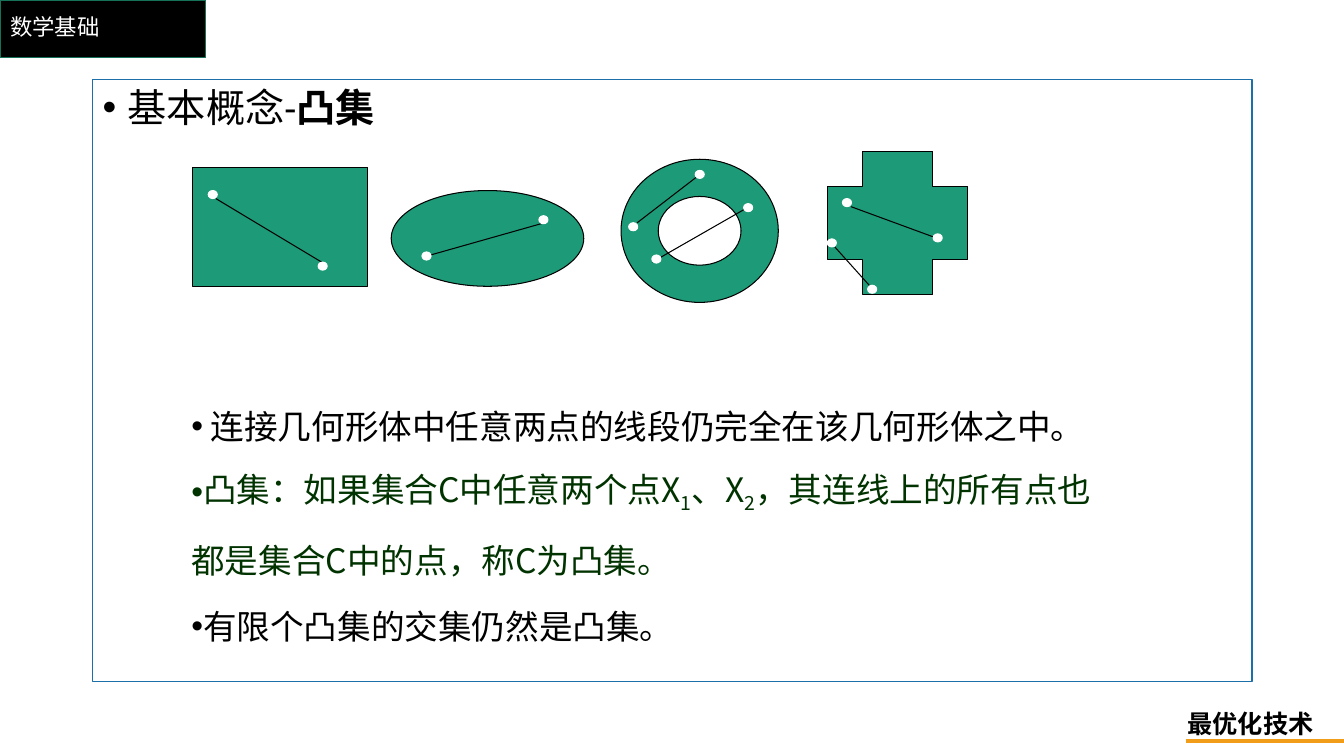
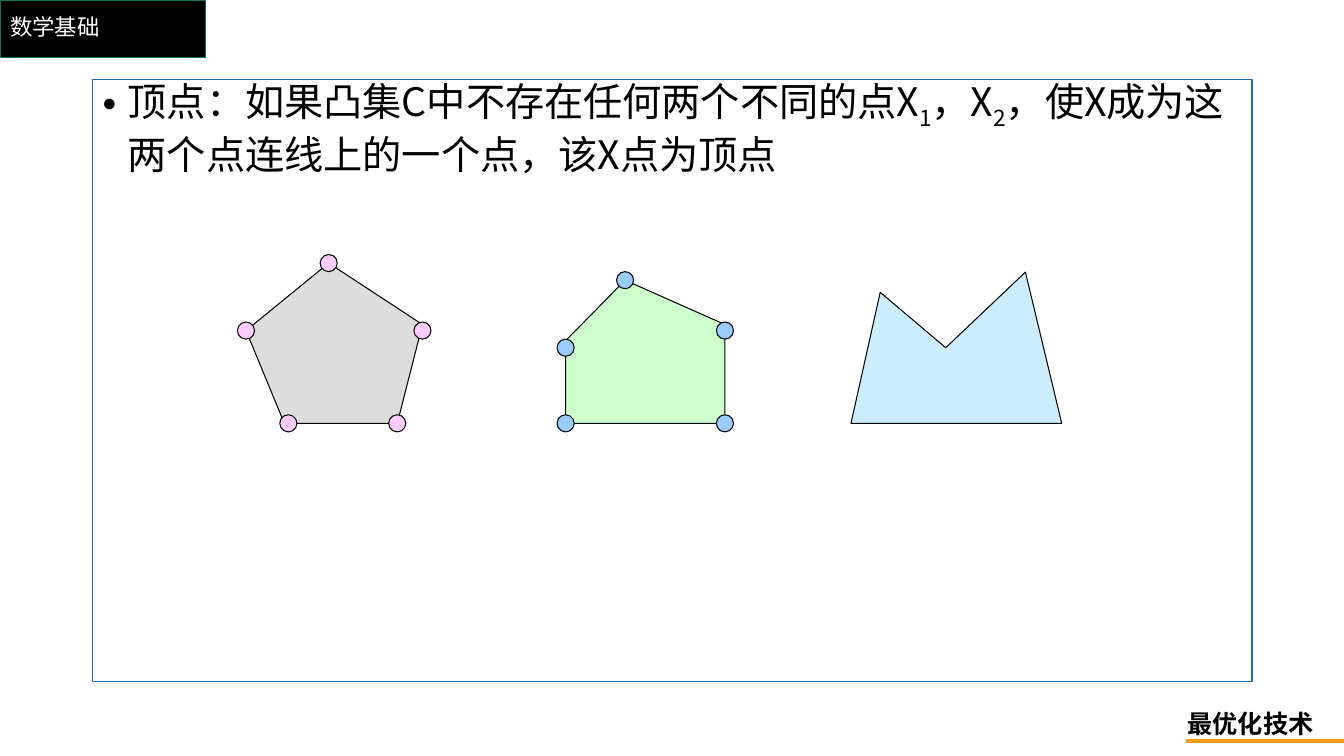
from lxml import etree
from pptx import Presentation
from pptx import util as u
from pptx.dml.color import RGBColor
from pptx.enum import shapes, text
from pptx.oxml.ns import qn

PX = 9144
BLACK = RGBColor(0x00, 0x00, 0x00)
WHITE = RGBColor(0xFF, 0xFF, 0xFF)
BAND_EDGE = RGBColor(0x15, 0x72, 0x59)
ORANGE = RGBColor(0xF1, 0x9D, 0x19)
FRAME_BLUE = RGBColor(0x1D, 0x6F, 0xA9)
TEAL = RGBColor(0x1D, 0x9A, 0x78)
DARK_GREEN = RGBColor(0x00, 0x33, 0x00)
GREY = RGBColor(0xDD, 0xDD, 0xDD)
PINK = RGBColor(0xFF, 0xCC, 0xFF)
PALE_GREEN = RGBColor(0xCC, 0xFF, 0xCC)
DOT_BLUE = RGBColor(0x99, 0xCC, 0xFF)
PALE_BLUE = RGBColor(0xCC, 0xEC, 0xFF)

LATIN, SERIF, CJK = "Calibri", "Times New Roman", "Noto Sans CJK SC"
SHAPE = shapes.MSO_SHAPE
FRAME = (92, 79, 1150, 597)


def px(*lengths):
    """Turn px lengths into EMU."""
    return [u.Emu(round(n * PX)) for n in lengths]


def paint(sp, fill, line, width=0.75):
    """Give a shape its fill and line, without shadow."""
    sp.shadow.inherit = False
    if fill is None:
        sp.fill.background()
    else:
        sp.fill.solid()
        sp.fill.fore_color.rgb = fill
    sp.line.color.rgb = line
    sp.line.width = u.Pt(width)


def add_box(s, kind, box, fill, line, width=0.75):
    """Add a preset shape."""
    sp = s.shapes.add_shape(kind, *px(*box))
    paint(sp, fill, line, width)
    return sp


def add_dot(s, x, y, w, h, fill, line):
    """Add an ellipse centred on a point."""
    add_box(s, SHAPE.OVAL, (x - w / 2, y - h / 2, w, h), fill, line)


def add_line(s, ends, color=BLACK, width=0.75):
    """Add a straight line without shadow."""
    line = s.shapes.add_connector(shapes.MSO_CONNECTOR.STRAIGHT, *px(*ends))
    line.line.color.rgb = color
    line.line.width = u.Pt(width)
    etree.SubElement(line.element.spPr, qn("a:effectLst"))
    return line


def add_run(p, words, size, color=BLACK, font=CJK, bold=False, sub=False):
    """Add one formatted run."""
    r = p.add_run()
    r.text = words
    r.font.size = u.Pt(size)
    r.font.bold = bold
    r.font.color.rgb = color
    r.font.name = font
    props = r._r.get_or_add_rPr()
    etree.SubElement(props, qn("a:ea")).set("typeface", CJK)
    if sub:
        props.set("baseline", "-25000")


def add_indexed(p, words, size, color=BLACK):
    """Add text in which each underscore starts a one-digit subscript."""
    first, *rest = words.split("_")
    add_run(p, first, size, color)
    for part in rest:
        add_run(p, part[0], size, color, sub=True)
        add_run(p, part[1:], size, color)


def set_bullet(p, spacing, indent=0):
    """Make a left-aligned bulleted paragraph with a hanging indent."""
    p.alignment = text.PP_ALIGN.LEFT
    p.line_spacing = u.Pt(spacing)
    props = p._p.get_or_add_pPr()
    props.set("marL", str(indent * PX))
    props.set("indent", str(-indent * PX))
    etree.SubElement(props, qn("a:buFont")).set("typeface", "Arial")
    etree.SubElement(props, qn("a:buChar")).set("char", "•")


def furnish_layout(layout, s):
    """Move the band and footer, drawn on a slide, into its layout."""
    for ph in list(layout.placeholders):
        if ph.placeholder_format.type != shapes.PP_PLACEHOLDER.TITLE:
            layout.shapes.element.remove(ph.element)
    band = add_box(s, SHAPE.RECTANGLE, (0, 0, 204, 57), BLACK, BAND_EDGE, 1)
    footer = s.shapes.add_textbox(*px(1168, 698, 146, 40))
    tf = footer.text_frame
    tf.word_wrap = False
    tf.vertical_anchor = text.MSO_ANCHOR.MIDDLE
    add_run(tf.paragraphs[0], "最优化技术", 18, font=LATIN, bold=True)
    rule = add_line(s, (1176, 735, 1333, 735), ORANGE, 2.5)
    for sp in (band, footer, rule):
        layout.shapes.element.append(sp.element)


def set_title(s):
    """Place and format the title."""
    title = s.shapes.title
    title.left, title.top, title.width, title.height = px(0, 0, 1150, 57)
    tf = title.text_frame
    tf.vertical_anchor = text.MSO_ANCHOR.MIDDLE
    p = tf.paragraphs[0]
    p.alignment = text.PP_ALIGN.LEFT
    p.line_spacing = 0.9
    add_run(p, "数学基础", 16, WHITE, LATIN)


def add_frame(s):
    """Add the content frame and return its bulleted paragraph."""
    sp = add_box(s, SHAPE.RECTANGLE, FRAME, None, FRAME_BLUE, 1)
    tf = sp.text_frame
    tf.word_wrap = True
    tf.vertical_anchor = text.MSO_ANCHOR.TOP
    p = tf.paragraphs[0]
    set_bullet(p, 33, 25)
    return p


def add_set(s, left, top, kind, size, segments, dots, adj=None):
    """Draw a set with line segments between points in it."""
    sp = add_box(s, kind, (left, top, *size), TEAL, BLACK)
    if adj is not None:
        sp.adjustments[0] = adj
    for x1, y1, x2, y2 in segments:
        add_line(s, (left + x1, top + y1, left + x2, top + y2))
    for x, y in dots:
        add_dot(s, left + x, top + y, 9, 8, WHITE, WHITE)


def add_set_row(s, left, top):
    """Draw two convex and two non-convex sets."""
    add_set(s, left, top + 16, SHAPE.RECTANGLE, (174, 118),
            [(23, 31, 128, 94)], [(20, 27), (129, 98)])
    add_set(s, left + 197, top + 39, SHAPE.OVAL, (191, 95),
            [(39, 64, 152, 32)], [(35, 65), (151, 29)])
    add_set(s, left + 425, top + 8, SHAPE.DONUT, (156, 142),
            [(31, 102, 127, 47), (16, 63, 77, 16)],
            [(12, 67), (78, 15), (35, 99), (126, 48)], 0.26)
    add_set(s, left + 630, top, SHAPE.CROSS, (139, 142),
            [(7, 95, 42, 134), (23, 55, 110, 87)],
            [(19, 51), (109, 86), (44, 137), (4, 91)], 0.25)


def add_statements(s, box):
    """Write the statements about convex sets."""
    tf = s.shapes.add_textbox(*px(*box)).text_frame
    tf.word_wrap = True
    statements = [
        (" 连接几何形体中任意两点的线段仍完全在该几何形体之中。", BLACK),
        ("凸集：如果集合C中任意两个点X_1、X_2，其连线上的所有点也都是集合C中的点，称C为凸集。",
         DARK_GREEN),
        ("有限个凸集的交集仍然是凸集。", BLACK),
    ]
    for i, (words, color) in enumerate(statements):
        p = tf.add_paragraph() if i else tf.paragraphs[0]
        set_bullet(p, 47)
        if i == 1:
            p.space_before = u.Pt(2)
        add_indexed(p, words, 24, color)


def add_polygon(s, left, top, points, fill, dots=(), dot_fill=None):
    """Draw a polygon and mark its vertices."""
    start, *rest = [(left + x, top + y) for x, y in points]
    outline = s.shapes.build_freeform(*start, scale=PX)
    outline.add_line_segments(rest, close=True)
    paint(outline.convert_to_shape(), fill, BLACK)
    for x, y in dots:
        add_dot(s, left + x, top + y, 17, 17, dot_fill, BLACK)


def add_polygon_row(s, left, top):
    """Draw two convex polygons and a non-convex one."""
    add_polygon(s, left, top,
                [(0, 67), (82, 0), (175, 61), (150, 159), (38, 159)], GREY,
                [(0, 67), (82, 0), (175, 67), (42, 159), (150, 159)], PINK)
    add_polygon(s, left + 317, top + 17,
                [(0, 60), (59, 0), (158, 44), (158, 142), (0, 142)], PALE_GREEN,
                [(0, 67), (59, 0), (158, 50), (0, 142), (158, 142)], DOT_BLUE)
    add_polygon(s, left + 600, top + 9,
                [(0, 150), (29, 20), (94, 75), (173, 0), (209, 150)], PALE_BLUE)


def fill_convex_slide(s):
    """Fill the slide on convex sets."""
    set_title(s)
    p = add_frame(s)
    add_run(p, "基本概念-", 28, font=LATIN)
    add_run(p, "凸集", 28, font=SERIF, bold=True)
    left, top = FRAME[:2]
    add_set_row(s, left + 99, top + 71)
    add_statements(s, (left + 88, top + 293, 936, 312))


def fill_vertex_slide(s):
    """Fill the slide on vertices."""
    set_title(s)
    p = add_frame(s)
    add_indexed(p, "顶点：如果凸集C中不存在任何两个不同的点X_1，X_2，使X成为这两个点连线上的一个点，该X点为顶点", 28)
    left, top = FRAME[:2]
    add_polygon_row(s, left + 152, top + 182)


def main():
    """Build and save the presentation."""
    prs = Presentation()
    prs.slide_width, prs.slide_height = px(1333, 750)
    layout = prs.slide_layouts[5]
    convex, vertex = [prs.slides.add_slide(layout) for _ in range(2)]
    furnish_layout(layout, convex)
    fill_convex_slide(convex)
    fill_vertex_slide(vertex)
    prs.save("out.pptx")


if __name__ == "__main__":
    main()
